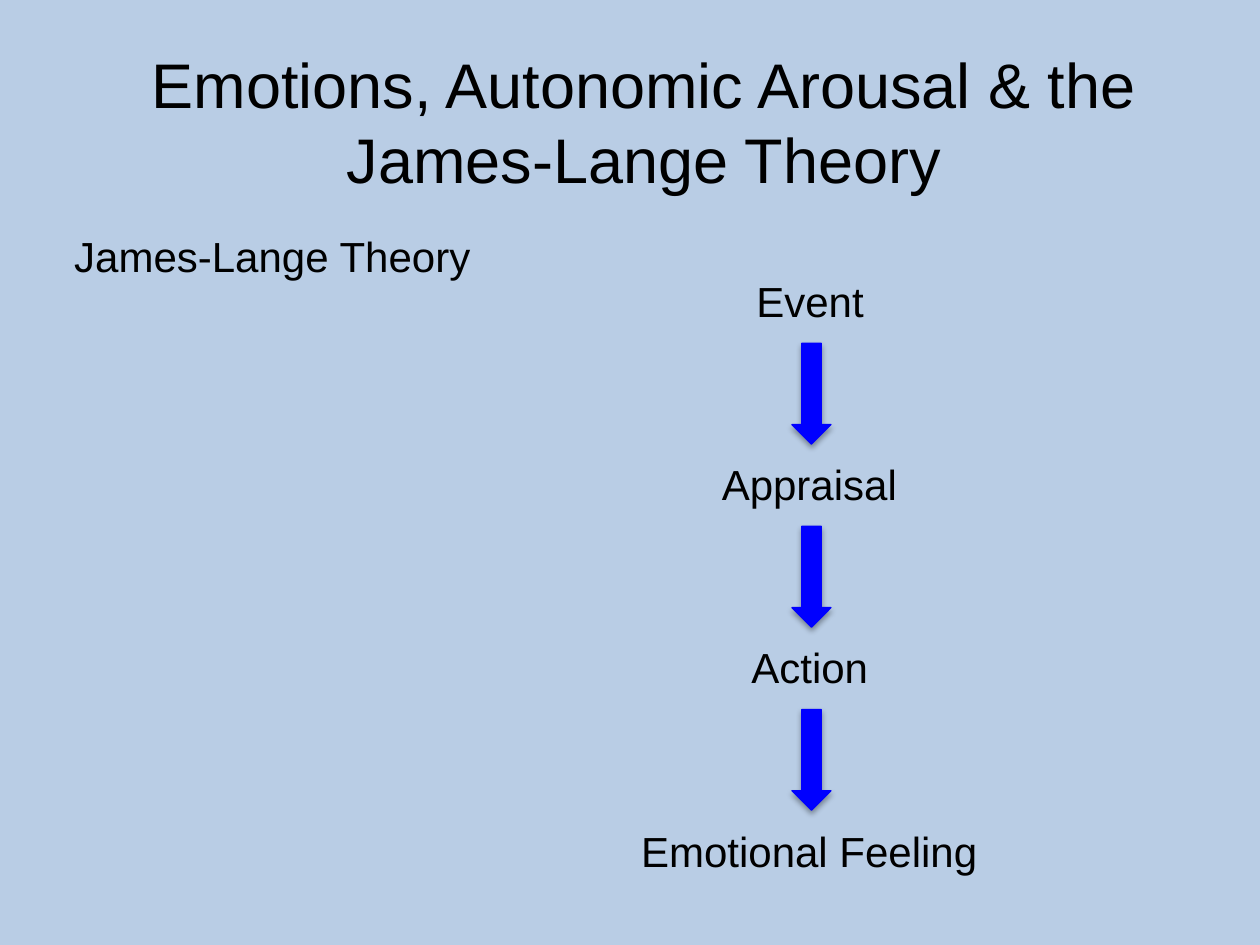
from lxml import etree
from pptx import Presentation
from pptx import util as u
from pptx.dml.color import RGBColor
from pptx.enum import shapes, text
from pptx.oxml.ns import qn

COLORS = {"background": "B9CDE5", "text": "000000", "arrow": "0000FF", "shadow": "000000"}
COLUMNS, ROWS = 100, 75
STEPS = [("Event", 10.7), ("Appraisal", 16.2), ("Action", 11.5), ("Emotional Feeling", 29)]
CENTER, FIRST_ROW, STEP_ROWS = 64.4, 21.4, 14.53
LABEL_ROWS, ARROW_OFFSET = 5, 8.3


class Deck:
    font = "Arial"

    def __init__(self):
        self.prs = Presentation()
        self.prs.slide_width, self.prs.slide_height = u.Inches(10), u.Inches(7.5)
        self.s = self.prs.slides.add_slide(self.prs.slide_layouts[6])
        self.paint(self.s.background.fill, "background")

    def paint(self, fill, name):
        fill.solid()
        fill.fore_color.rgb = RGBColor.from_string(COLORS[name])

    def box(self, left, top, width, height):
        column, row = self.prs.slide_width / COLUMNS, self.prs.slide_height / ROWS
        return [u.Emu(round(n * unit)) for n, unit in
                ((left, column), (top, row), (width, column), (height, row))]

    def label(self, words, area, size=24, wrap=False, align=text.PP_ALIGN.LEFT):
        tf = self.s.shapes.add_textbox(*self.box(*area)).text_frame
        frame = {"word_wrap": wrap, "auto_size": text.MSO_AUTO_SIZE.SHAPE_TO_FIT_TEXT}
        for key, value in frame.items():
            setattr(tf, key, value)
        p = tf.paragraphs[0]
        p.alignment = align
        r = p.add_run()
        r.text = words
        for key, value in {"name": self.font, "size": u.Pt(size)}.items():
            setattr(r.font, key, value)
        self.paint(r.font.fill, "text")

    def arrow(self, area):
        sp = self.s.shapes.add_shape(shapes.MSO_SHAPE.RIGHT_ARROW, *self.box(*area))
        sp.rotation = 90
        self.paint(sp.fill, "arrow")
        self.paint(sp.line.fill, "arrow")
        sp.line.width = u.Pt(0.75)
        self.shadow(sp)

    def shadow(self, sp):
        sp.shadow.inherit = False
        effects = sp.element.spPr.find(qn("a:effectLst"))
        outer = etree.SubElement(effects, qn("a:outerShdw"), blurRad="40000",
                                 dist="23000", dir="5400000", rotWithShape="0")
        color = etree.SubElement(outer, qn("a:srgbClr"), val=COLORS["shadow"])
        etree.SubElement(color, qn("a:alpha"), val="35000")


def main():
    deck = Deck()
    deck.label("Emotions, Autonomic Arousal & the James-Lange Theory",
               (6.4, 3.1, 89.4, 13.1), size=36, wrap=True, align=text.PP_ALIGN.CENTER)
    deck.label("James-Lange Theory", (4.9, 17.8, 33.8, LABEL_ROWS))
    for i, (words, width) in enumerate(STEPS):
        top = FIRST_ROW + i * STEP_ROWS
        deck.label(words, (CENTER - width / 2, top, width, LABEL_ROWS))
        if i < len(STEPS) - 1:
            deck.arrow((CENTER - 4, top + ARROW_OFFSET, 8, 3.1))
    deck.prs.save("out.pptx")


if __name__ == "__main__":
    main()
